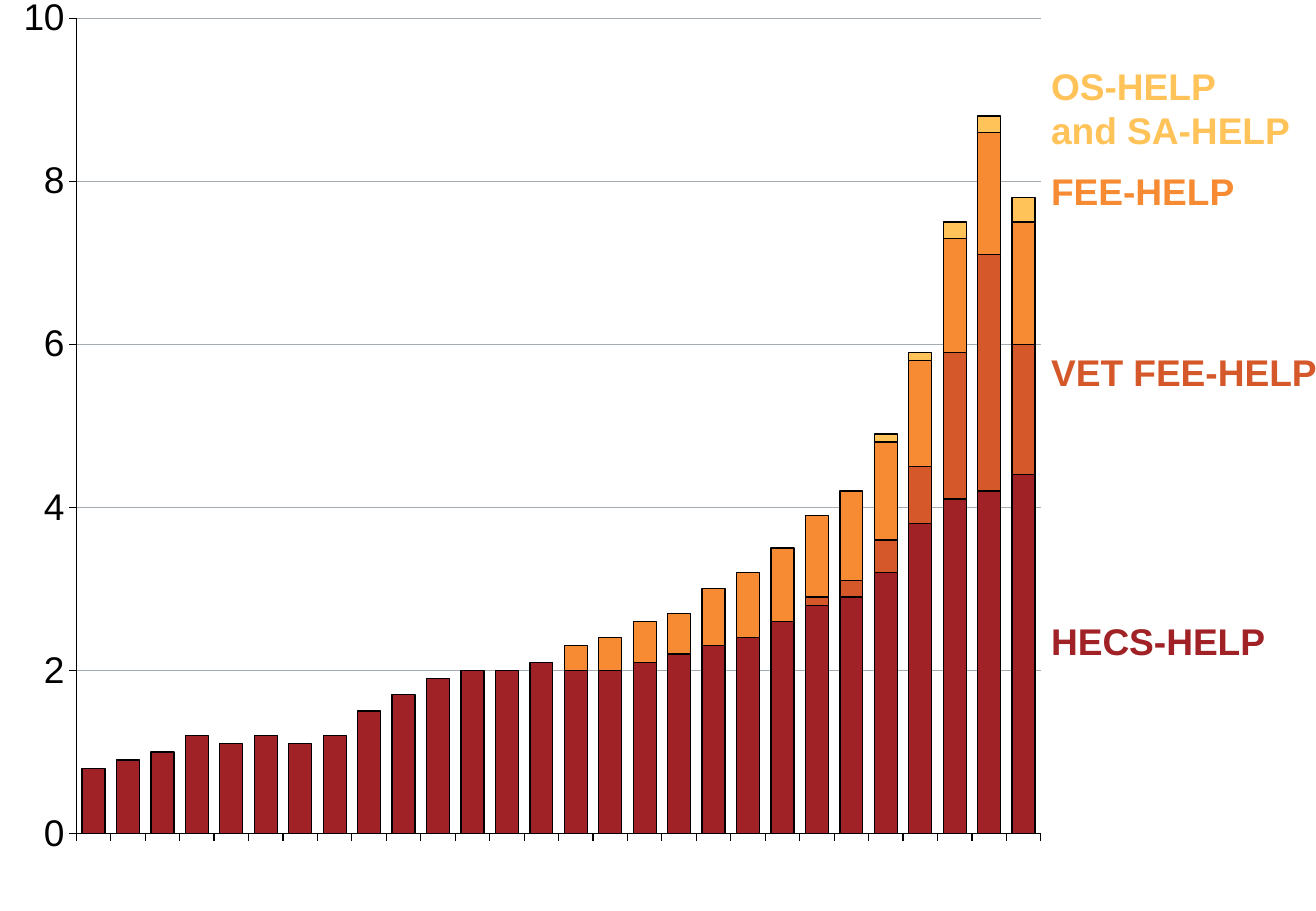
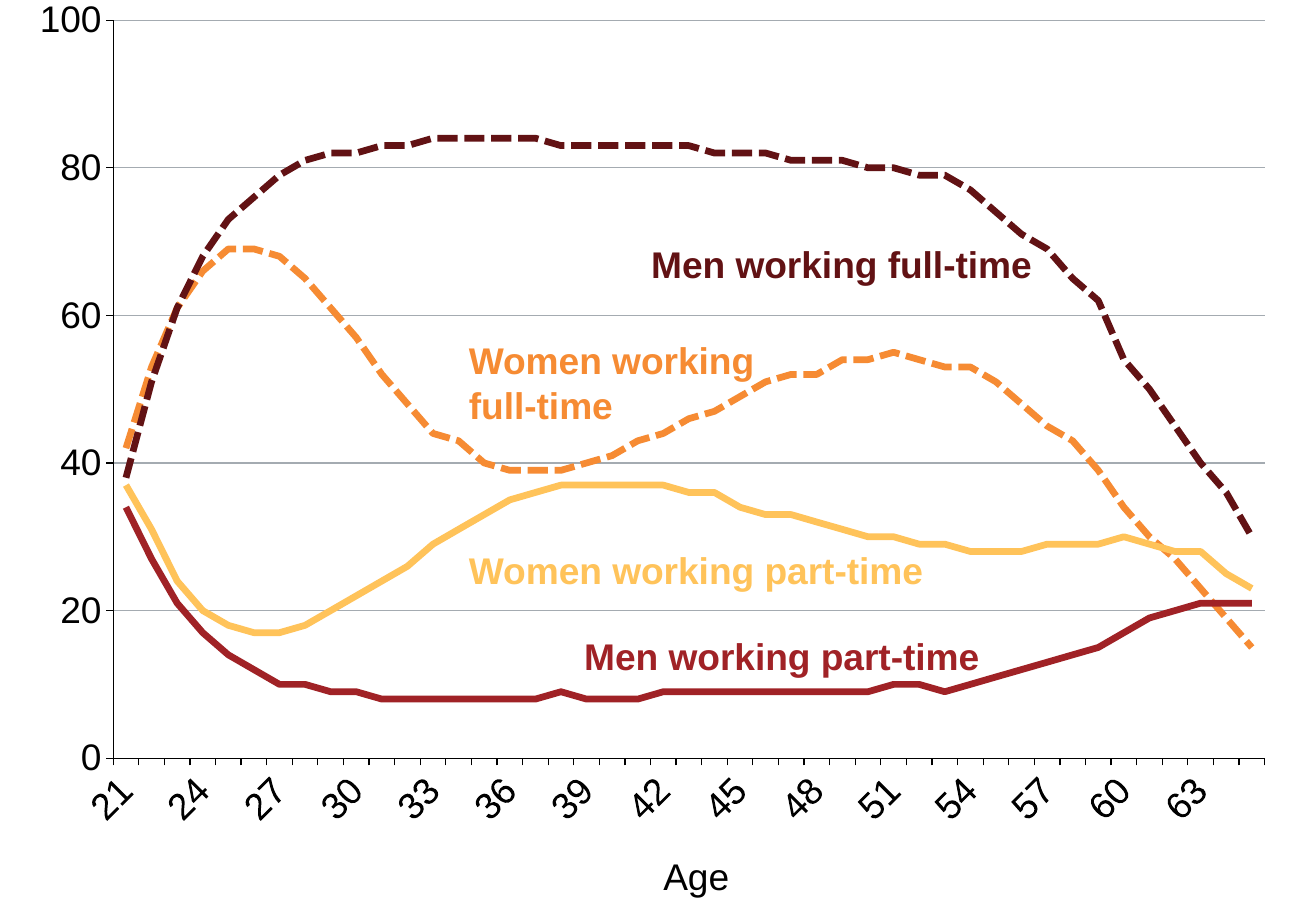
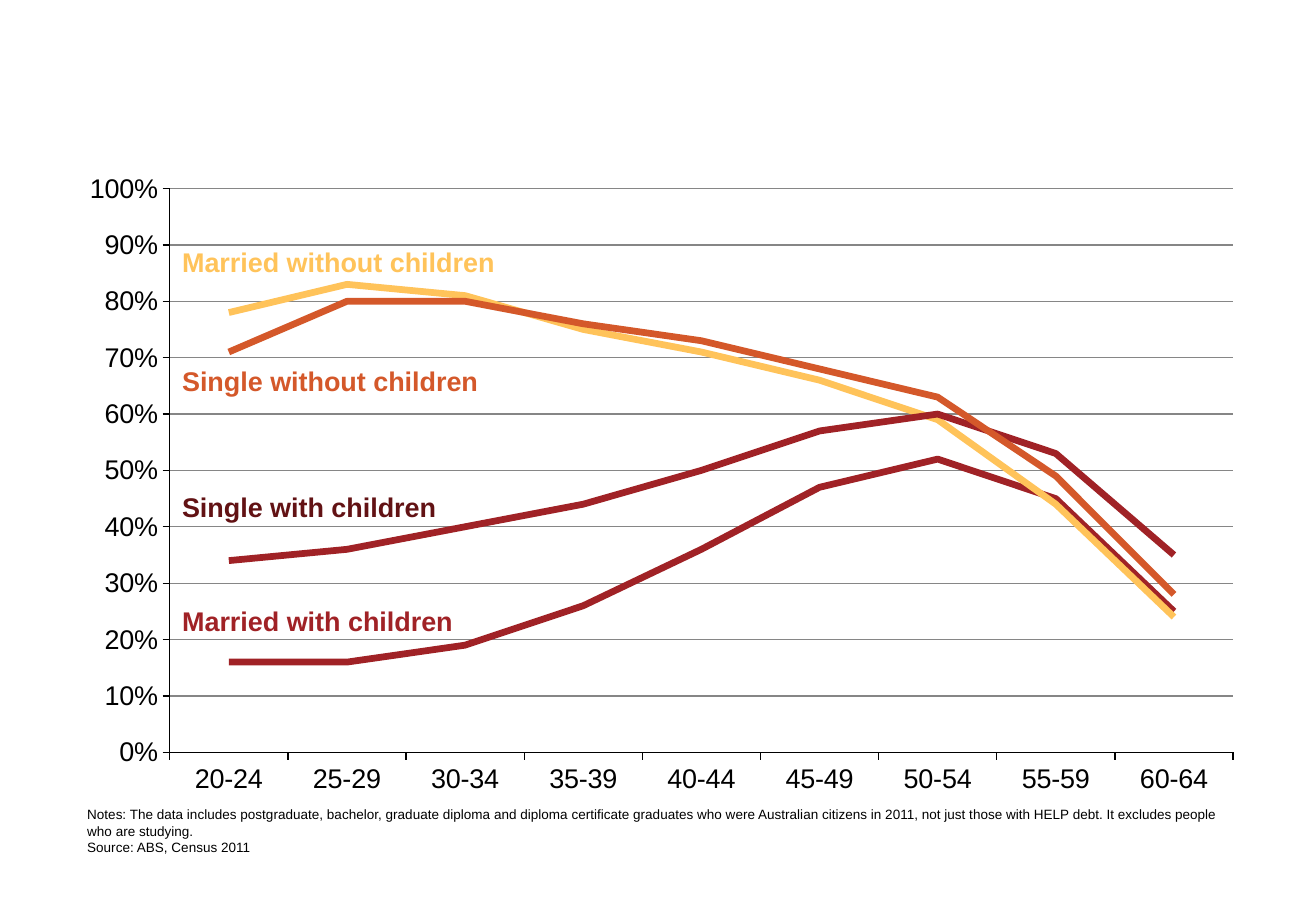
from dataclasses import dataclass

from lxml import etree
from pptx import Presentation
from pptx.chart.data import CategoryChartData
from pptx.dml.color import RGBColor
from pptx.enum.chart import XL_CHART_TYPE as ChartType
from pptx.enum.chart import XL_TICK_LABEL_POSITION as LabelPosition
from pptx.enum.chart import XL_TICK_MARK as TickMark
from pptx.enum.dml import MSO_LINE as Dash
from pptx.enum.text import MSO_AUTO_SIZE as AutoSize
from pptx.oxml.ns import qn
from pptx.util import Inches, Pt


@dataclass(frozen=True)
class Theme:
    font: str = "Arial"
    ink: str = "000000"
    grid: str = "A4ABB1"
    dark_grid: str = "868686"
    maroon: str = "621214"
    red: str = "A02226"
    rust: str = "D4582A"
    orange: str = "F68B33"
    yellow: str = "FFC35A"
    large: int = 22
    medium: int = 16
    small: int = 8
    hairline: float = 0.75
    trend: float = 4


THEME = Theme()
WIDTH, HEIGHT = Inches(10.83), Inches(7.5)


@dataclass(frozen=True)
class Box:
    left: float
    top: float
    width: float
    height: float

    def on_slide(self) -> tuple[int, int, int, int]:
        return (round(WIDTH * self.left / 100), round(HEIGHT * self.top / 100),
                round(WIDTH * self.width / 100), round(HEIGHT * self.height / 100))


@dataclass(frozen=True)
class Label:
    text: str
    box: Box
    color: str = THEME.ink
    size: int = THEME.large
    bold: bool = True
    wrap: bool = False
    inset: bool = True


@dataclass(frozen=True)
class Series:
    name: str
    color: str
    values: list[float]
    dashed: bool = False


@dataclass(frozen=True)
class Graph:
    kind: ChartType
    box: Box
    plot: Box
    categories: list[str]
    series: list[Series]
    top: float
    step: float
    number_format: str
    size: int = THEME.large
    grid: str = THEME.grid
    label_skip: int = 1
    label_turn: int = 0


def paint(line, color: str, width: float) -> None:
    line.color.rgb = RGBColor.from_string(color)
    line.width = Pt(width)


def place_plot(chart, plot: Box) -> None:
    area = chart._chartSpace.chart.plotArea
    for old in area.findall(qn("c:layout")):
        area.remove(old)
    layout = etree.Element(qn("c:layout"))
    manual = etree.SubElement(layout, qn("c:manualLayout"))
    settings = [("layoutTarget", "inner"), ("xMode", "edge"), ("yMode", "edge"),
                ("x", plot.left / 100), ("y", plot.top / 100),
                ("w", plot.width / 100), ("h", plot.height / 100)]
    for tag, value in settings:
        etree.SubElement(manual, qn(f"c:{tag}")).set("val", str(value))
    area.insert(0, layout)


def style_axis(axis, size: int) -> None:
    axis.major_tick_mark = TickMark.OUTSIDE
    axis.minor_tick_mark = TickMark.NONE
    paint(axis.format.line, THEME.ink, THEME.hairline)
    axis.tick_labels.font.size = Pt(size)


def style_categories(axis, graph: Graph) -> None:
    style_axis(axis, graph.size)
    axis.has_major_gridlines = False
    if not any(graph.categories):
        axis.tick_label_position = LabelPosition.NONE
    if graph.label_turn:
        body = axis._element.find(qn("c:txPr")).find(qn("a:bodyPr"))
        body.set("rot", str(graph.label_turn * 60000))
        body.set("vert", "horz")
    if graph.label_skip > 1:
        last = axis._element.find(qn("c:noMultiLvlLbl"))
        for tag, value in (("tickLblSkip", graph.label_skip), ("tickMarkSkip", 1)):
            skip = etree.Element(qn(f"c:{tag}"))
            skip.set("val", str(value))
            last.addprevious(skip)


def style_values(axis, graph: Graph) -> None:
    style_axis(axis, graph.size)
    axis.minimum_scale, axis.maximum_scale = 0, graph.top
    axis.major_unit = graph.step
    axis.has_major_gridlines = True
    paint(axis.major_gridlines.format.line, graph.grid, THEME.hairline)
    axis.tick_labels.number_format = graph.number_format
    axis.tick_labels.number_format_is_linked = False


def style_series(drawn, series: Series, stacked: bool) -> None:
    if stacked:
        drawn.format.fill.solid()
        drawn.format.fill.fore_color.rgb = RGBColor.from_string(series.color)
        paint(drawn.format.line, THEME.ink, THEME.hairline)
        return
    drawn.smooth = False
    paint(drawn.format.line, series.color, THEME.trend)
    if series.dashed:
        drawn.format.line.dash_style = Dash.SQUARE_DOT


def add_graph(slide, graph: Graph) -> None:
    data = CategoryChartData()
    data.categories = graph.categories
    for series in graph.series:
        data.add_series(series.name, series.values)
    chart = slide.shapes.add_chart(graph.kind, *graph.box.on_slide(), data).chart
    chart.has_title = False
    chart.has_legend = False
    chart.font.name = THEME.font
    chart.font.size = Pt(graph.size)
    chart.font.color.rgb = RGBColor.from_string(THEME.ink)
    place_plot(chart, graph.plot)
    style_categories(chart.category_axis, graph)
    style_values(chart.value_axis, graph)
    stacked = graph.kind == ChartType.COLUMN_STACKED
    plot = chart.plots[0]
    plot.vary_by_categories = False
    if stacked:
        plot.gap_width, plot.overlap = 50, 100
    for drawn, series in zip(plot.series, graph.series):
        style_series(drawn, series, stacked)


def add_label(slide, label: Label) -> None:
    frame = slide.shapes.add_textbox(*label.box.on_slide()).text_frame
    frame.word_wrap = label.wrap
    frame.auto_size = AutoSize.SHAPE_TO_FIT_TEXT
    if not label.inset:
        frame.margin_left = frame.margin_right = 0
        frame.margin_top = frame.margin_bottom = 0
    frame.text = label.text
    for paragraph in frame.paragraphs:
        for run in paragraph.runs:
            run.font.name = THEME.font
            run.font.size = Pt(label.size)
            run.font.bold = label.bold
            run.font.color.rgb = RGBColor.from_string(label.color)


def loan_label(text: str, color: str, top: float, width: float, lines: int = 1) -> Label:
    return Label(text, Box(79.87, top, width, 4.93 * lines), color, inset=False)


def family_label(text: str, color: str, top: float, width: float) -> Label:
    return Label(text, Box(12.93, top, width, 4.93), color, THEME.medium)


LOANS = Graph(
    ChartType.COLUMN_STACKED, Box(0, -0.4, 100, 100), Box(5.8, 2.4, 73.3, 89.5),
    [""] * 28,
    [
        Series("HECS-HELP", THEME.red,
               [0.8, 0.9, 1, 1.2, 1.1, 1.2, 1.1, 1.2, 1.5, 1.7, 1.9, 2, 2, 2.1,
                2, 2, 2.1, 2.2, 2.3, 2.4, 2.6, 2.8, 2.9, 3.2, 3.8, 4.1, 4.2, 4.4]),
        Series("VET FEE-HELP", THEME.rust,
               [0] * 21 + [0.1, 0.2, 0.4, 0.7, 1.8, 2.9, 1.6]),
        Series("FEE-HELP", THEME.orange,
               [0] * 14 + [0.3, 0.4, 0.5, 0.5, 0.7, 0.8, 0.9, 1, 1.1, 1.2, 1.3, 1.4, 1.5, 1.5]),
        Series("OS-HELP and SA-HELP", THEME.yellow,
               [0] * 23 + [0.1, 0.1, 0.2, 0.2, 0.3]),
    ],
    top=10, step=2, number_format="General")

LOAN_LABELS = [
    loan_label("HECS-HELP", THEME.red, 67.87, 16.44),
    loan_label("VET FEE-HELP", THEME.rust, 38.4, 20.5),
    loan_label("FEE-HELP", THEME.orange, 18.53, 14.04),
    loan_label("OS-HELP\nand SA-HELP", THEME.yellow, 6.93, 18.28, lines=2),
]

WORK = Graph(
    ChartType.LINE, Box(0, 0, 100, 100), Box(8.6, 2, 87.5, 81.2),
    [str(age) for age in range(21, 66)],
    [
        Series("Women working full-time", THEME.orange,
               [42, 53, 61, 66, 69, 69, 68, 65, 61, 57, 52, 48, 44, 43, 40,
                39, 39, 39, 40, 41, 43, 44, 46, 47, 49, 51, 52, 52, 54, 54,
                55, 54, 53, 53, 51, 48, 45, 43, 39, 34, 30, 27, 23, 19, 15], dashed=True),
        Series("Women working part-time", THEME.yellow,
               [37, 31, 24, 20, 18, 17, 17, 18, 20, 22, 24, 26, 29, 31, 33,
                35, 36, 37, 37, 37, 37, 37, 36, 36, 34, 33, 33, 32, 31, 30,
                30, 29, 29, 28, 28, 28, 29, 29, 29, 30, 29, 28, 28, 25, 23]),
        Series("Men working full-time", THEME.maroon,
               [38, 51, 61, 68, 73, 76, 79, 81, 82, 82, 83, 83, 84, 84, 84,
                84, 84, 83, 83, 83, 83, 83, 83, 82, 82, 82, 81, 81, 81, 80,
                80, 79, 79, 77, 74, 71, 69, 65, 62, 54, 50, 45, 40, 36, 30], dashed=True),
        Series("Men working part-time", THEME.red,
               [34, 27, 21, 17, 14, 12, 10, 10, 9, 9, 8, 8, 8, 8, 8,
                8, 8, 9, 8, 8, 8, 9, 9, 9, 9, 9, 9, 9, 9, 9,
                10, 10, 9, 10, 11, 12, 13, 14, 15, 17, 19, 20, 21, 21, 21]),
    ],
    top=100, step=20, number_format="#,##0", label_skip=3, label_turn=-45)

WORK_LABELS = [
    Label("Men working full-time", Box(48.57, 25.87, 31.12, 6.27), THEME.maroon),
    Label("Women working full-time", Box(34.72, 36.4, 24, 11.2), THEME.orange, wrap=True),
    Label("Men working part-time", Box(43.49, 68.93, 32.23, 6.27), THEME.red),
    Label("Women working part-time", Box(34.72, 59.47, 36.75, 6.27), THEME.yellow),
    Label("Age", Box(49.49, 93.07, 7.02, 6.27), bold=False),
]

FAMILIES = Graph(
    ChartType.LINE, Box(0.1, 0, 100, 100), Box(12.8, 20.7, 80.8, 61.9),
    [f"{age}-{age + 4}" for age in range(20, 65, 5)],
    [
        Series("Married with children", THEME.red,
               [0.16, 0.16, 0.19, 0.26, 0.36, 0.47, 0.52, 0.45, 0.25]),
        Series("Married without children", THEME.yellow,
               [0.78, 0.83, 0.81, 0.75, 0.71, 0.66, 0.59, 0.44, 0.24]),
        Series("Single with children", THEME.red,
               [0.34, 0.36, 0.4, 0.44, 0.5, 0.57, 0.6, 0.53, 0.35]),
        Series("Single without children", THEME.rust,
               [0.71, 0.8, 0.8, 0.76, 0.73, 0.68, 0.63, 0.49, 0.28]),
    ],
    top=1, step=0.1, number_format="0%", size=THEME.medium, grid=THEME.dark_grid)

NOTES = (
    "Notes: The data includes postgraduate, bachelor, graduate diploma and diploma "
    "certificate graduates who were Australian citizens in 2011, not just those with "
    "HELP debt. It excludes people who are studying.\n"
    "Source: ABS, Census 2011")

FAMILY_LABELS = [
    family_label("Married with children", THEME.red, 65.73, 22.71),
    family_label("Married without children", THEME.yellow, 26.27, 25.95),
    family_label("Single without children", THEME.rust, 39.33, 24.65),
    family_label("Single with children", THEME.maroon, 53.2, 21.42),
    Label(NOTES, Box(5.72, 87.87, 87.9, 6.67), size=THEME.small, bold=False, wrap=True),
]


def main() -> None:
    deck = Presentation()
    deck.slide_width, deck.slide_height = WIDTH, HEIGHT
    blank = deck.slide_layouts[6]
    for graph, labels in ((LOANS, LOAN_LABELS), (WORK, WORK_LABELS), (FAMILIES, FAMILY_LABELS)):
        slide = deck.slides.add_slide(blank)
        add_graph(slide, graph)
        for label in labels:
            add_label(slide, label)
    deck.save("out.pptx")


if __name__ == "__main__":
    main()
